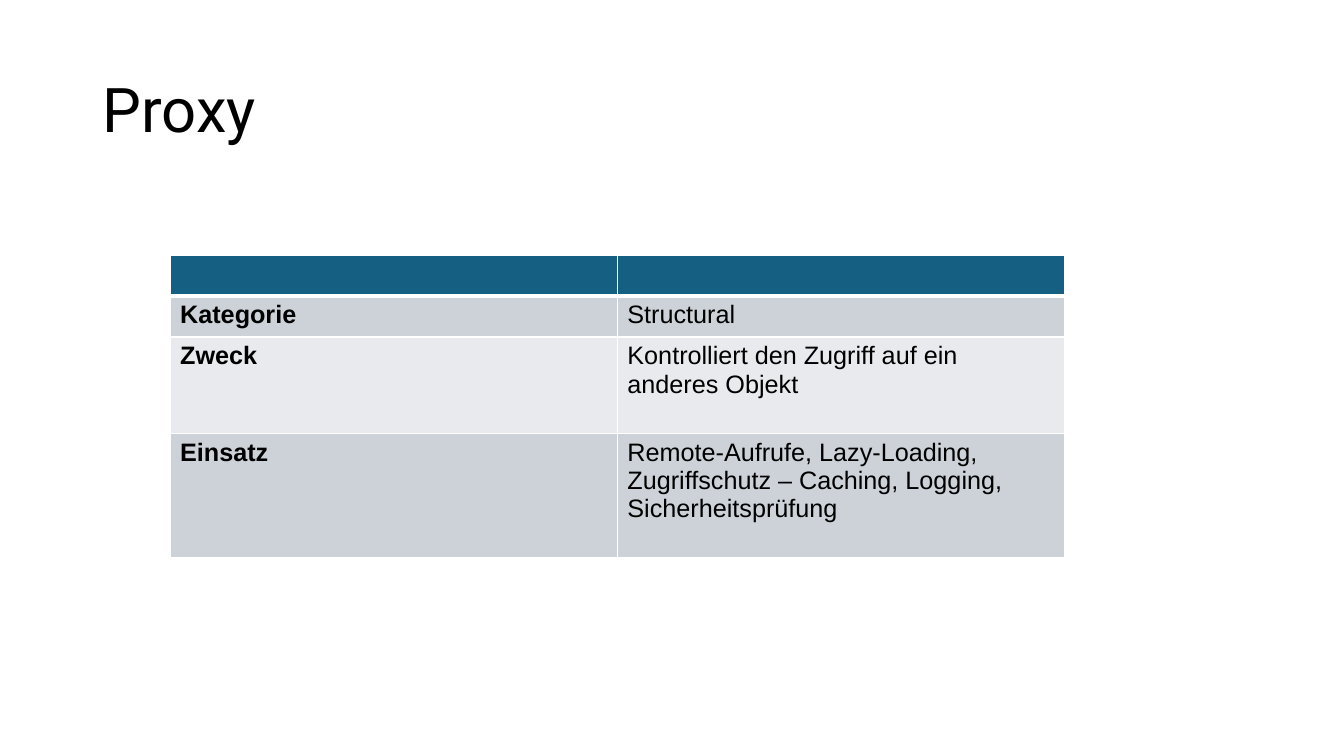
from lxml.etree import SubElement
from pptx import Presentation
from pptx.dml.color import RGBColor
from pptx.enum.text import MSO_ANCHOR, PP_ALIGN
from pptx.oxml.ns import qn
from pptx.util import Emu, Pt

EMU_PER_PX = 9525
COLORS = {
    "text": "000000",
    "header": "156082",
    "band_dark": "CCD2D8",
    "band_light": "E8EAED",
    "border": "FFFFFF",
}
ROWS = [
    ("", "", 39),
    ("Kategorie", "Structural", 39),
    ("Zweck", "Kontrolliert den Zugriff auf ein anderes Objekt", 92),
    ("Einsatz", "Remote-Aufrufe, Lazy-Loading, Zugriffschutz – Caching, Logging, Sicherheitsprüfung", 118),
]


def px(length):
    return Emu(length * EMU_PER_PX)


def color(name):
    return RGBColor.from_string(COLORS[name])


def format_paragraph(paragraph, font_name, size, bold=False):
    paragraph.alignment = PP_ALIGN.LEFT
    paragraph.font.name = font_name
    paragraph.font.size = Pt(size)
    paragraph.font.bold = bold
    paragraph.font.color.rgb = color("text")


def add_title(slide, text):
    title = slide.shapes.title
    title.left, title.top, title.width, title.height = px(88), px(38), px(1104), px(139)
    title.text_frame.text = text
    title.text_frame.vertical_anchor = MSO_ANCHOR.MIDDLE
    paragraph = title.text_frame.paragraphs[0]
    format_paragraph(paragraph, "Roboto", 44)
    paragraph.line_spacing = 0.9


def set_borders(cell, top, bottom):
    properties = cell._tc.get_or_add_tcPr()
    for side, width in (("L", 1), ("R", 1), ("T", top), ("B", bottom)):
        line = SubElement(properties, qn(f"a:ln{side}"), w=str(Pt(width)))
        fill = SubElement(line, qn("a:solidFill"))
        SubElement(fill, qn("a:srgbClr"), val=COLORS["border"])


def format_cell(cell, text, fill_name, bold, top, bottom):
    cell.text = text
    format_paragraph(cell.text_frame.paragraphs[0], "Arial", 18, bold)
    set_borders(cell, top, bottom)
    cell.fill.solid()
    cell.fill.fore_color.rgb = color(fill_name)


def add_pattern_table(slide):
    total_height = sum(height for _, _, height in ROWS)
    frame = slide.shapes.add_table(len(ROWS), 2, px(162), px(243), px(852), px(total_height))
    table = frame.table
    table.first_row = True
    table.horz_banding = False
    for row_index, (label, description, height) in enumerate(ROWS):
        table.rows[row_index].height = px(height)
        if row_index == 0:
            fill_name = "header"
        else:
            fill_name = "band_dark" if row_index % 2 else "band_light"
        top = 3 if row_index == 1 else 1
        bottom = 3 if row_index == 0 else 1
        for column_index, text in enumerate((label, description)):
            cell = table.cell(row_index, column_index)
            format_cell(cell, text, fill_name, column_index == 0, top, bottom)


def main():
    presentation = Presentation()
    presentation.slide_width, presentation.slide_height = px(1280), px(720)
    slide = presentation.slides.add_slide(presentation.slide_layouts[5])
    add_title(slide, "Proxy")
    add_pattern_table(slide)
    presentation.save("out.pptx")


if __name__ == "__main__":
    main()
